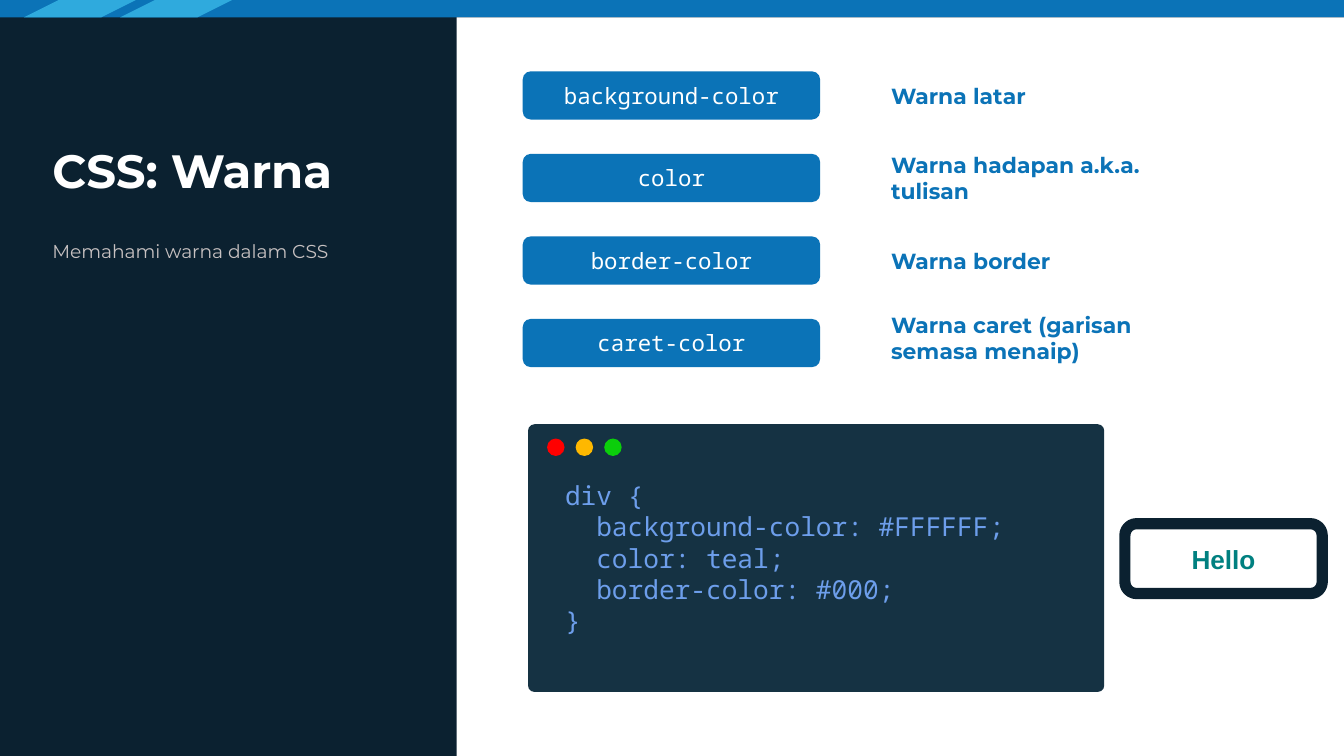
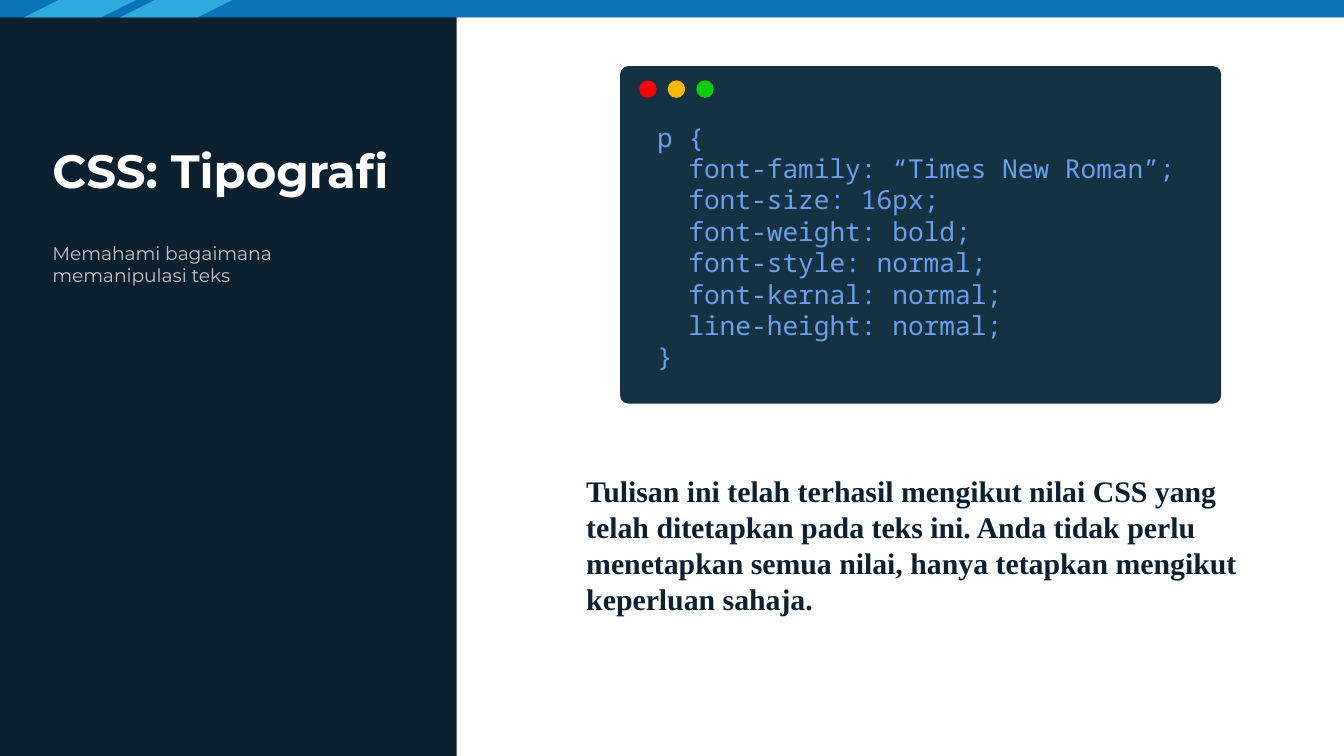
"""Build two slides on CSS colour and typography."""
from pptx import Presentation
from pptx.dml.color import RGBColor
from pptx.enum.shapes import MSO_SHAPE
from pptx.enum.text import MSO_ANCHOR, MSO_AUTO_SIZE, PP_ALIGN
from pptx.util import Cm, Pt

COLOURS = {
    "navy": "0B2130", "blue": "0B73B7", "sky": "2FAADD", "white": "FFFFFF",
    "grey": "C7C1C1", "panel": "153243", "code": "6D9EEB", "teal": "008080",
    "red": "FF0000", "amber": "FEB800", "green": "0BCE0B",
}
FONTS = {
    "title": {"name": "Montserrat", "size": Pt(25), "bold": True, "color": "white"},
    "subtitle": {"name": "Montserrat", "size": Pt(10), "color": "grey"},
    "property": {"name": "Noto Sans Mono", "size": Pt(12), "color": "white"},
    "meaning": {"name": "Montserrat", "size": Pt(11.7), "bold": True, "color": "blue"},
    "code": {"name": "Noto Sans Mono", "size": Pt(14), "color": "code"},
    "hello": {"name": "Arial", "size": Pt(14), "bold": True, "color": "teal"},
    "sample": {"name": "Times New Roman", "size": Pt(16), "bold": True, "color": "navy"},
}
PARAGRAPHS = {
    "property": {"alignment": PP_ALIGN.CENTER},
    "hello": {"alignment": PP_ALIGN.CENTER},
    "code": {"line_spacing": Pt(16.8)},
    "sample": {"line_spacing": Pt(19.2)},
}
FRAME = {
    "word_wrap": True, "margin_left": Cm(0.25), "margin_right": Cm(0.25),
    "margin_top": Cm(0.25), "margin_bottom": Cm(0.25),
}
CODE_INDENT = Cm(0.59)
BAND_HEIGHT = 0.33
WIDTH, HEIGHT = 25.4, 14.29


def rgb(colour):
    """Return the named colour."""
    return RGBColor.from_string(COLOURS[colour])


def apply(target, values):
    """Set each attribute in values on target."""
    for attribute, value in values.items():
        if attribute == "color":
            target.color.rgb = rgb(value)
        else:
            setattr(target, attribute, value)


class Deck:
    """Hold the shared style and the current slide."""

    def __init__(self):
        """Start an empty widescreen deck."""
        self.presentation = Presentation()
        apply(self.presentation, {"slide_width": Cm(WIDTH), "slide_height": Cm(HEIGHT)})
        self.slide = None

    def new_slide(self, title, subtitle):
        """Add a slide with bands, side panel, title and subtitle."""
        self.slide = self.presentation.slides.add_slide(self.presentation.slide_layouts[6])
        background = self.slide.background.fill
        background.solid()
        background.fore_color.rgb = rgb("navy")
        self.shape(MSO_SHAPE.RECTANGLE, (0, 0, WIDTH, BAND_HEIGHT), "blue")
        for left in (0.45, 2.27):
            self.shape(MSO_SHAPE.PARALLELOGRAM, (left, 0, 2.12, BAND_HEIGHT), "sky", 2)
        self.shape(MSO_SHAPE.RECTANGLE,
                   (8.63, BAND_HEIGHT, WIDTH - 8.63, HEIGHT - BAND_HEIGHT), "white")
        self.text((0.74, 1.35, 7.01, 2.64), [title], "title", MSO_ANCHOR.BOTTOM)
        self.text((0.74, 4.32, 7.01, 3.43), [subtitle], "subtitle")

    def shape(self, kind, box, fill, adjustment=None, parent=None):
        """Add a plain filled shape."""
        shape = (parent or self.slide).shapes.add_shape(kind, *map(Cm, box))
        shape.shadow.inherit = False
        shape.fill.solid()
        shape.fill.fore_color.rgb = rgb(fill)
        shape.line.fill.background()
        if adjustment is not None:
            shape.adjustments[0] = adjustment
        return shape

    def fill_text(self, shape, lines, style, anchor=MSO_ANCHOR.TOP):
        """Put in styled lines, indenting those inside a code block."""
        frame = shape.text_frame
        apply(frame, {**FRAME, "vertical_anchor": anchor})
        for index, line in enumerate(lines):
            paragraph = frame.paragraphs[0] if index == 0 else frame.add_paragraph()
            apply(paragraph, PARAGRAPHS.get(style, {}))
            if style == "code" and 0 < index < len(lines) - 1:
                paragraph._p.get_or_add_pPr().set("marL", str(CODE_INDENT))
            run = paragraph.add_run()
            run.text = line
            apply(run.font, FONTS[style])

    def text(self, box, lines, style, anchor=MSO_ANCHOR.TOP, parent=None):
        """Add a text box."""
        textbox = (parent or self.slide).shapes.add_textbox(*map(Cm, box))
        self.fill_text(textbox, lines, style, anchor)
        return textbox

    def button(self, box, label, style, fill):
        """Add a rounded button with a centred label."""
        button = self.shape(MSO_SHAPE.ROUNDED_RECTANGLE, box, fill, 0.167)
        self.fill_text(button, [label], style, MSO_ANCHOR.MIDDLE)
        return button

    def code_window(self, box, code_size, lines):
        """Add a grouped code window with three lights."""
        left, top, _, _ = box
        window = self.slide.shapes.add_group_shape()
        self.shape(MSO_SHAPE.ROUNDED_RECTANGLE, box, "panel", 0.024, window)
        for index, light in enumerate(("red", "amber", "green")):
            self.shape(MSO_SHAPE.OVAL, (left + 0.36 + 0.54 * index, top + 0.27, 0.33, 0.33),
                       light, parent=window)
        code = self.text((left + 0.45, top + 0.79, *code_size), lines, "code", parent=window)
        code.text_frame.auto_size = MSO_AUTO_SIZE.SHAPE_TO_FIT_TEXT


def colour_slide(deck):
    """Build the colour slide."""
    deck.new_slide("CSS: Warna", "Memahami warna dalam CSS")
    properties = (
        ("background-color", "Warna latar", 0),
        ("color", "Warna hadapan a.k.a. tulisan", 0),
        ("border-color", "Warna border", 0),
        ("caret-color", "Warna caret (garisan semasa menaip)", 0.1),
    )
    for row, (name, meaning, lift) in enumerate(properties):
        top = 1.35 + 1.56 * row
        deck.button((9.88, top, 5.62, 0.91), name, "property", "blue")
        deck.text((16.59, top - lift, 6.27, 0.91), [meaning], "meaning", MSO_ANCHOR.MIDDLE)
    deck.code_window((9.98, 8.02, 10.89, 5.06), (10.44, 3.51), [
        "div {", "background-color: #FFFFFF;", "color: teal;", "border-color: #000;", "}"])
    hello = deck.button((21.26, 9.9, 3.73, 1.32), "Hello", "hello", "white")
    apply(hello.line, {"color": "navy", "width": Pt(6)})


def typography_slide(deck):
    """Build the typography slide."""
    deck.new_slide("CSS: Tipografi", "Memahami bagaimana memanipulasi teks")
    deck.code_window((11.72, 1.25, 11.36, 6.38), (10.59, 5.31), [
        "p {", "font-family: “Times New Roman”;", "font-size: 16px;", "font-weight: bold;",
        "font-style: normal;", "font-kernal: normal;", "line-height: normal;", "}"])
    deck.text((10.83, 8.69, 13.13, 3.43), [
        "Tulisan ini telah terhasil mengikut nilai CSS yang telah ditetapkan pada teks ini. "
        "Anda tidak perlu menetapkan semua nilai, hanya tetapkan mengikut keperluan sahaja."],
        "sample")


def main():
    """Build and save the deck."""
    deck = Deck()
    colour_slide(deck)
    typography_slide(deck)
    deck.presentation.save("out.pptx")


if __name__ == "__main__":
    main()
